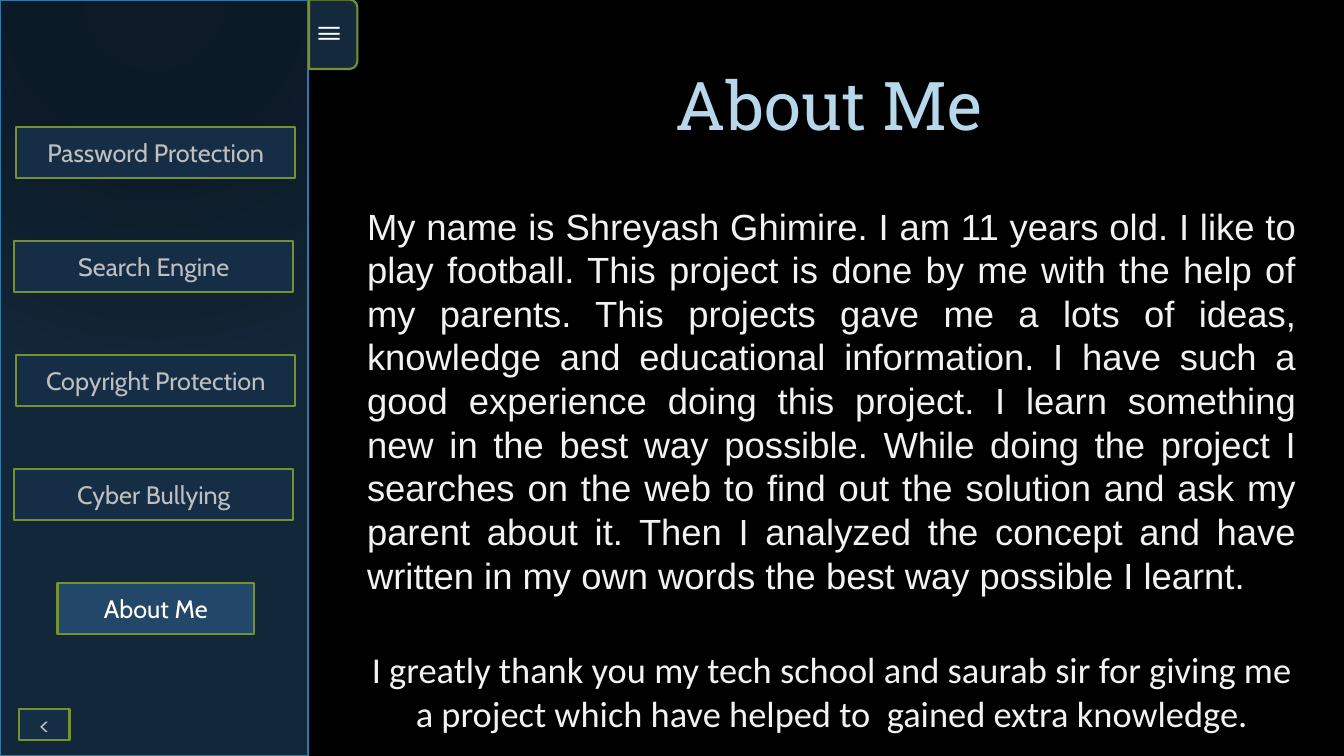
import pptx
import pptx.util
import pptx.dml.color
import pptx.enum.shapes
import pptx.enum.text
import pptx.oxml

Inches = pptx.util.Inches
Pt = pptx.util.Pt
RGB = pptx.dml.color.RGBColor.from_string
Shape = pptx.enum.shapes.MSO_SHAPE
Align = pptx.enum.text.PP_ALIGN
Anchor = pptx.enum.text.MSO_ANCHOR

TITLE = "About Me"
STORY = (
    "My name is Shreyash Ghimire. I am 11 years old. I like to play football. "
    "This project is done by me with the help of my parents. This projects gave me "
    "a lots of ideas, knowledge and educational information. I have such a good "
    "experience doing this project. I learn something new in the best way possible. "
    "While doing the project I searches on the web to find out the solution and ask "
    "my parent about it. Then I analyzed the concept and have written in my own words "
    "the best way possible I learnt."
)
THANKS = (
    "I greatly thank you my tech school and saurab sir for giving me a project "
    "which have helped to  gained extra knowledge."
)
MENU = ["Password Protection", "Search Engine", "Copyright Protection", "Cyber Bullying"]


class Theme:
    back = "000000"
    navy = "152E45"
    blue = "234768"
    edge = "2E78A3"
    green = "759232"
    white = "FFFFFF"
    grey = "BFBFBF"
    pale = "F2F2F2"
    sky = "B7D7EB"
    glow = [(0, "163148"), (35, navy), (100, blue)]
    glow_alpha = 56
    tab_alpha = 58
    menu_font = "Cabin"
    head_font = "Roboto Slab"
    story_font = "Arial"
    thanks_font = "Calibri"
    menu_size = 18
    text_size = 26
    head_size = 48
    line = 1.5


NS = 'xmlns:a="http://schemas.openxmlformats.org/drawingml/2006/main"'


def write(frame, text, font, size, color, align, anchor=Anchor.TOP):
    frame.text = text
    frame.word_wrap = True
    frame.auto_size = pptx.enum.text.MSO_AUTO_SIZE.NONE
    frame.vertical_anchor = anchor
    para = frame.paragraphs[0]
    para.alignment = align
    para.space_before = Pt(0)
    run = para.runs[0].font
    run.name = font
    run.size = Pt(size)
    run.color.rgb = RGB(color)


def place(item, box):
    item.left, item.top, item.width, item.height = map(Inches, box)


def block(slide, kind, box, fill, edge):
    item = slide.shapes.add_shape(kind, *map(Inches, box))
    item.shadow.inherit = False
    item.fill.solid()
    item.fill.fore_color.rgb = RGB(fill)
    item.line.color.rgb = RGB(edge)
    item.line.width = Pt(Theme.line)
    return item


def button(slide, text, box, fill=Theme.navy, color=Theme.grey):
    item = block(slide, Shape.RECTANGLE, box, fill, Theme.green)
    write(item.text_frame, text, Theme.menu_font, Theme.menu_size, color,
          Align.CENTER, Anchor.MIDDLE)


def add_panel(slide):
    panel = block(slide, Shape.RECTANGLE, (0, 0, 3.06, 7.5), Theme.navy, Theme.edge)
    stops = "".join(
        f'<a:gs pos="{pos * 1000}"><a:srgbClr val="{color}">'
        f'<a:alpha val="{Theme.glow_alpha * 1000}"/></a:srgbClr></a:gs>'
        for pos, color in Theme.glow
    )
    grad = pptx.oxml.parse_xml(
        f'<a:gradFill {NS} rotWithShape="1"><a:gsLst>{stops}</a:gsLst>'
        '<a:path path="circle"><a:fillToRect l="50000" t="-80000" r="50000" b="180000"/>'
        '</a:path></a:gradFill>'
    )
    props = panel._element.spPr
    props.replace(props.find(pptx.oxml.ns.qn("a:solidFill")), grad)


def add_tab(slide):
    tab = block(slide, Shape.ROUND_2_SAME_RECTANGLE, (2.96, 0.1, 0.69, 0.48),
                Theme.blue, Theme.green)
    tab.rotation = 90
    color = tab._element.spPr.find(pptx.oxml.ns.qn("a:solidFill"))[0]
    color.append(pptx.oxml.parse_xml(f'<a:alpha {NS} val="{Theme.tab_alpha * 1000}"/>'))
    write(tab.text_frame, "|||", Theme.head_font, Theme.menu_size, Theme.white,
          Align.CENTER, Anchor.MIDDLE)


def add_menu(slide):
    top, step, high = 1.26, 1.13, 0.51
    for row, name in enumerate(MENU):
        left = 0.14 if row % 2 else 0.16
        button(slide, name, (left, top + row * step, 2.77, high))
    button(slide, TITLE, (0.57, top + len(MENU) * step, 1.95, high),
           Theme.blue, Theme.white)
    button(slide, "<", (0.19, 7.03, 0.5, 0.31))


def add_words(slide):
    left, wide = 3.54, 9.43
    title, body = slide.placeholders
    place(title, (4.89, 0.58, 6.67, 0.91))
    write(title.text_frame, TITLE, Theme.head_font, Theme.head_size, Theme.sky,
          Align.CENTER)
    place(body, (left, 1.97, wide, 3.99))
    write(body.text_frame, STORY, Theme.story_font, Theme.text_size, Theme.pale,
          Align.JUSTIFY)
    props = body.text_frame.paragraphs[0]._p.get_or_add_pPr()
    props.set("marL", "0")
    props.set("indent", "0")
    props.append(pptx.oxml.parse_xml(f"<a:buNone {NS}/>"))
    note = slide.shapes.add_textbox(*map(Inches, (left, 6.37, wide, 0.98)))
    write(note.text_frame, THANKS, Theme.thanks_font, Theme.text_size, Theme.pale,
          Align.CENTER)


def main():
    deck = pptx.Presentation()
    deck.slide_width, deck.slide_height = Inches(13.33), Inches(7.5)
    slide = deck.slides.add_slide(deck.slide_layouts[1])
    slide.background.fill.solid()
    slide.background.fill.fore_color.rgb = RGB(Theme.back)
    add_panel(slide)
    add_tab(slide)
    add_menu(slide)
    add_words(slide)
    deck.save("out.pptx")


if __name__ == "__main__":
    main()
